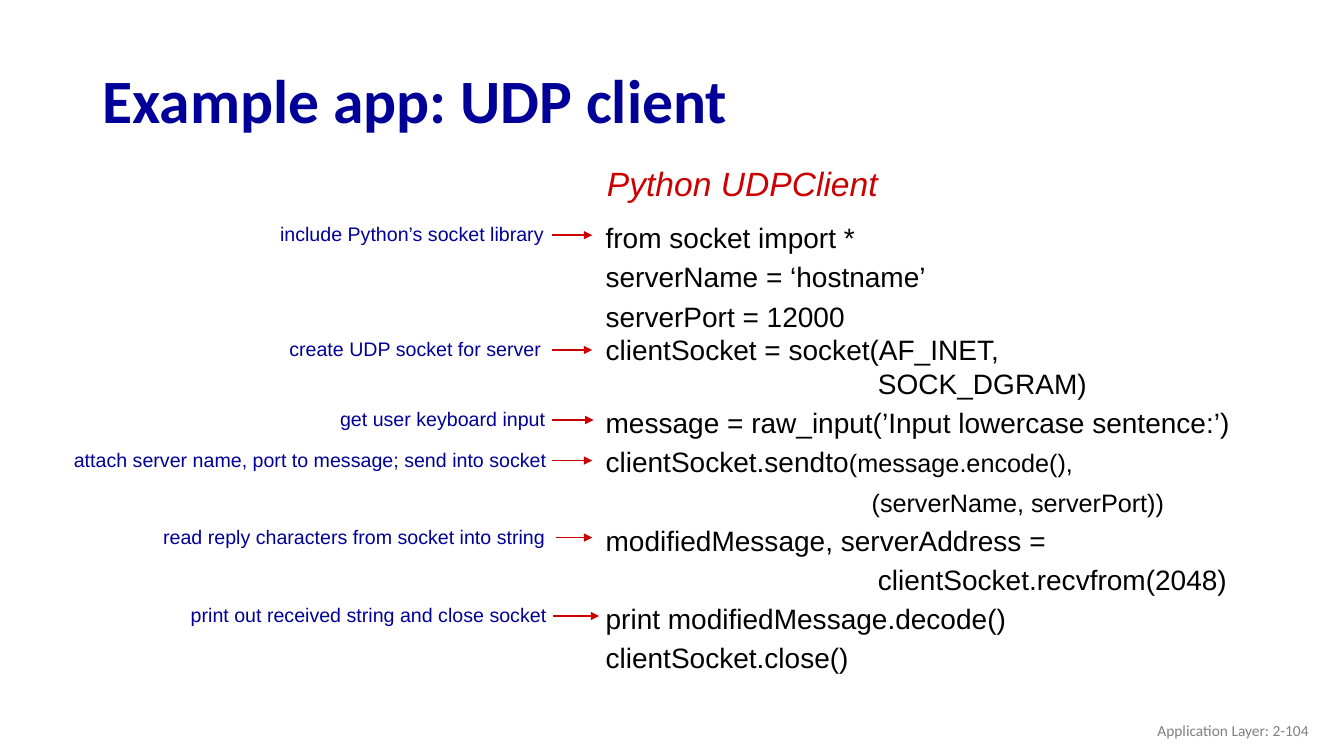
from lxml import etree
from pptx import Presentation
from pptx import util as u
from pptx.dml import color
from pptx.enum import shapes, text
from pptx.oxml import ns

Pt = u.Pt
INK = {"navy": "000099", "red": "CC0000", "black": "000000", "gray": "808080"}

# Each line: indent, line pitch, runs of (words, size)
CODE = [
    (0, 28, [("from socket import *", 20)]),
    (0, 28, [("serverName = ‘hostname’", 20)]),
    (0, 28, [("serverPort = 12000", 20)]),
    (0, 24, [("clientSocket = socket(AF_INET,", 20)]),
    (194.5, 24, [("SOCK_DGRAM)", 20)]),
    (0, 28, [("message = raw_input(’Input lowercase sentence:’)", 20)]),
    (0, 28, [("clientSocket.sendto", 20), ("(message.encode(),", 18)]),
    (190, 28, [("(serverName, serverPort))", 18)]),
    (0, 28, [("modifiedMessage, serverAddress =", 20)]),
    (194.5, 28, [("clientSocket.recvfrom(2048)", 20)]),
    (0, 28, [("print modifiedMessage.decode()", 20)]),
    (0, 28, [("clientSocket.close()", 20)]),
]

# Each note: words, right edge of the words, arrow start, arrow end, arrow height
NOTES = [
    ("include Python’s socket library", 388.5, 394.5, 423, 168),
    ("create UDP socket for server", 386.5, 394, 423, 250),
    ("get user keyboard input", 389.5, 394.5, 424, 300),
    ("attach server name, port to message; send into socket", 390.5, 394.5, 423, 329),
    ("read reply characters from socket into string", 389.5, 397.5, 423, 384),
    ("print out received string and close socket", 390.5, 395, 428, 440),
]


def add_run(para, words, size, ink, face="Arial", bold=False, slant=False):
    run = para.add_run()
    run.text = words
    font = run.font
    font.name, font.size, font.bold, font.italic = face, Pt(size), bold, slant
    font.color.rgb = color.RGBColor.from_string(INK[ink])


def add_box(slide, box, anchor=text.MSO_ANCHOR.TOP):
    frame = slide.shapes.add_textbox(*map(Pt, box)).text_frame
    frame.word_wrap = True
    frame.vertical_anchor = anchor
    return frame


def add_arrow(slide, start, end, y):
    line = slide.shapes.add_connector(
        shapes.MSO_CONNECTOR.STRAIGHT, Pt(start), Pt(y), Pt(end), Pt(y))
    line.line.color.rgb = color.RGBColor.from_string(INK["red"])
    line.line.width = Pt(1)
    etree.SubElement(line.line._get_or_add_ln(), ns.qn("a:tailEnd"), type="triangle")
    etree.SubElement(line._element.spPr, ns.qn("a:effectLst"))


def add_title(slide, box):
    title = slide.shapes.title
    title.left, title.top, title.width, title.height = map(Pt, box)
    frame = title.text_frame
    frame.vertical_anchor = text.MSO_ANCHOR.MIDDLE
    para = frame.paragraphs[0]
    para.alignment = text.PP_ALIGN.LEFT
    add_run(para, "Example app: UDP client", 44, "navy", "Calibri", bold=True)


def add_code(slide, box):
    """Place the red heading and, below it, the program lines."""
    left, top, width, height = box
    head = add_box(slide, (left + 1, top, 230, 36))
    add_run(head.paragraphs[0], "Python UDPClient", 24, "red", slant=True)
    frame = add_box(slide, (left, top + 37.5, width, height - 37.5))
    for row, (indent, pitch, runs) in enumerate(CODE):
        para = frame.add_paragraph() if row else frame.paragraphs[0]
        para.line_spacing = Pt(pitch)
        if indent:
            props = para._p.get_or_add_pPr()
            props.set("marL", str(Pt(indent)))
            props.set("indent", "0")
        for words, size in runs:
            add_run(para, words, size, "black")


def add_notes(slide, left, high=24, inset=7.2):
    """Place each note, ending at its arrow and centred on the arrow's height."""
    for words, right, start, end, y in NOTES:
        frame = add_box(slide, (left, y - 1 - high / 2, right + inset - left, high),
                        text.MSO_ANCHOR.MIDDLE)
        para = frame.paragraphs[0]
        para.alignment = text.PP_ALIGN.RIGHT
        add_run(para, words, 14, "navy")
        add_arrow(slide, start, end, y)


def add_foot(slide, box):
    para = add_box(slide, box, text.MSO_ANCHOR.MIDDLE).paragraphs[0]
    para.alignment = text.PP_ALIGN.RIGHT
    add_run(para, "Application Layer: 2-104", 11, "gray", "Calibri")


def main():
    deck = Presentation()
    deck.slide_width, deck.slide_height = Pt(960), Pt(540)
    slide = deck.slides.add_slide(deck.slide_layouts[5])
    add_title(slide, (66, 35.5, 828, 70.5))
    add_code(slide, (425.5, 112.5, 470, 390))
    add_notes(slide, 40)
    add_foot(slide, (726, 507.5, 216, 29))
    deck.save("out.pptx")


if __name__ == "__main__":
    main()
